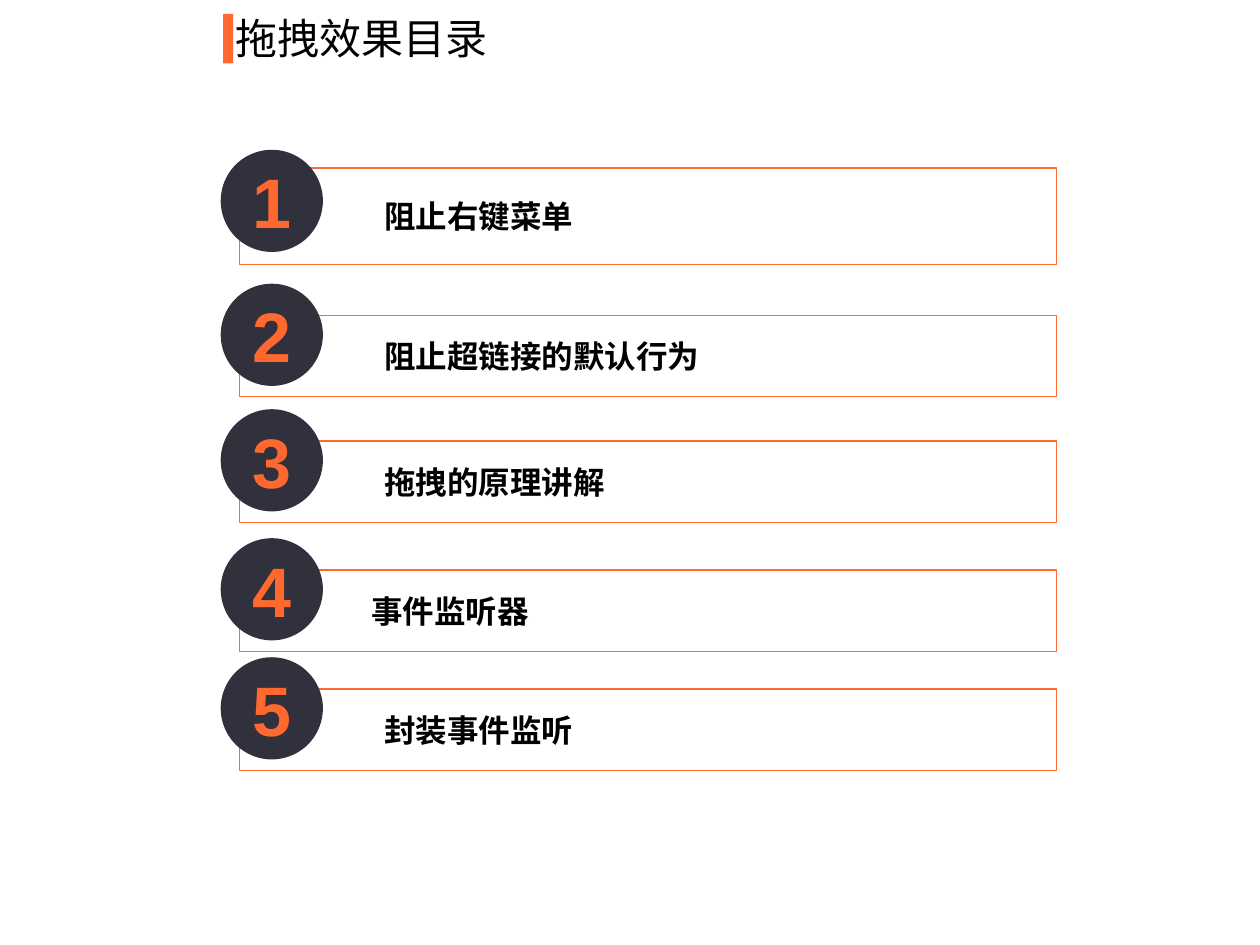
import pptx
import pptx.util
import pptx.dml.color
import pptx.enum.shapes
import pptx.enum.text
import pptx.oxml.ns
import lxml.etree

Cm, Pt = pptx.util.Cm, pptx.util.Pt
RGB = pptx.dml.color.RGBColor
KIND = pptx.enum.shapes.MSO_SHAPE
ALIGN = pptx.enum.text.PP_ALIGN
ANCHOR = pptx.enum.text.MSO_ANCHOR
qn = pptx.oxml.ns.qn

ORANGE = RGB(0xFF, 0x68, 0x2F)
DARK = RGB(0x30, 0x31, 0x3C)
WHITE = RGB(0xFF, 0xFF, 0xFF)
BLACK = RGB(0, 0, 0)

deck = pptx.Presentation()
deck.slide_width, deck.slide_height = Cm(25.4), Cm(19.05)
slide = deck.slides.add_slide(deck.slide_layouts[5])


def add_shape(kind, left, top, width, height, fill):
    shape = slide.shapes.add_shape(kind, Cm(left), Cm(top), Cm(width), Cm(height))
    shape.shadow.inherit = False
    shape.fill.solid()
    shape.fill.fore_color.rgb = fill
    shape.line.fill.background()
    return shape


def set_text(shape, text, pads, anchor, align, look):
    frame = shape.text_frame
    frame.word_wrap = True
    frame.vertical_anchor = anchor
    for side, pad in zip(("left", "top", "right", "bottom"), pads):
        setattr(frame, "margin_" + side, Cm(pad))
    para = frame.paragraphs[0]
    para.alignment = align
    run = para.add_run()
    run.text = text
    for key, value in look.items():
        if key == "color":
            run.font.color.rgb = value
        else:
            setattr(run.font, key, value)
    return para


# Title with its accent bar
add_shape(KIND.RECTANGLE, 4.5, 0.28, 0.2, 1, ORANGE)
title = slide.shapes.title
for key, value in {"left": 4.5, "top": 0.13, "width": 10.2, "height": 1.27}.items():
    setattr(title, key, Cm(value))
HEAD = {"name": "Noto Sans CJK SC", "size": Pt(24), "bold": False, "color": BLACK}
para = set_text(title, "拖拽效果目录", (0.25, 0.13, 0.25, 0.13), ANCHOR.TOP, ALIGN.LEFT, HEAD)
title.text_frame.auto_size = pptx.enum.text.MSO_AUTO_SIZE.NONE
east = lxml.etree.SubElement(para.runs[0].font._element, qn("a:ea"))
east.set("typeface", HEAD["name"])

# Numbered entries: text, circle top, box offset, box height, indent
ITEMS = [
    ("阻止右键菜单", 3.02, 0.37, 1.94, 1.27),
    ("阻止超链接的默认行为", 5.72, 0.64, 1.64, 1.27),
    ("拖拽的原理讲解", 8.25, 0.64, 1.64, 1.27),
    ("事件监听器", 10.85, 0.64, 1.64, 1),
    ("封装事件监听", 13.25, 0.64, 1.64, 1.27),
]
LABEL = {"name": "Arial", "size": Pt(18), "bold": True, "color": BLACK}
DIGIT = {"name": "Arial", "size": Pt(40), "bold": True, "color": ORANGE}

for num, (text, top, drop, height, indent) in enumerate(ITEMS, 1):
    # Outlined box, 40 % opaque
    box = add_shape(KIND.RECTANGLE, 4.83, top + drop, 16.47, height, WHITE)
    box.line.color.rgb = ORANGE
    box.line.width = Pt(0.75)
    tint = box.fill._xPr.find(qn("a:solidFill"))[0]
    lxml.etree.SubElement(tint, qn("a:alpha")).set("val", "40000")
    para = set_text(box, text, (1.65, 0.2, 0.2, 0.2), ANCHOR.MIDDLE, ALIGN.LEFT, LABEL)
    para._p.get_or_add_pPr().set("marL", str(Cm(indent)))

    # Number circle
    disc = add_shape(KIND.OVAL, 4.45, top, 2.06, 2.06, DARK)
    set_text(disc, str(num), (0.25, 0.13, 0.25, 0.13), ANCHOR.MIDDLE, ALIGN.CENTER, DIGIT)

deck.save("out.pptx")
